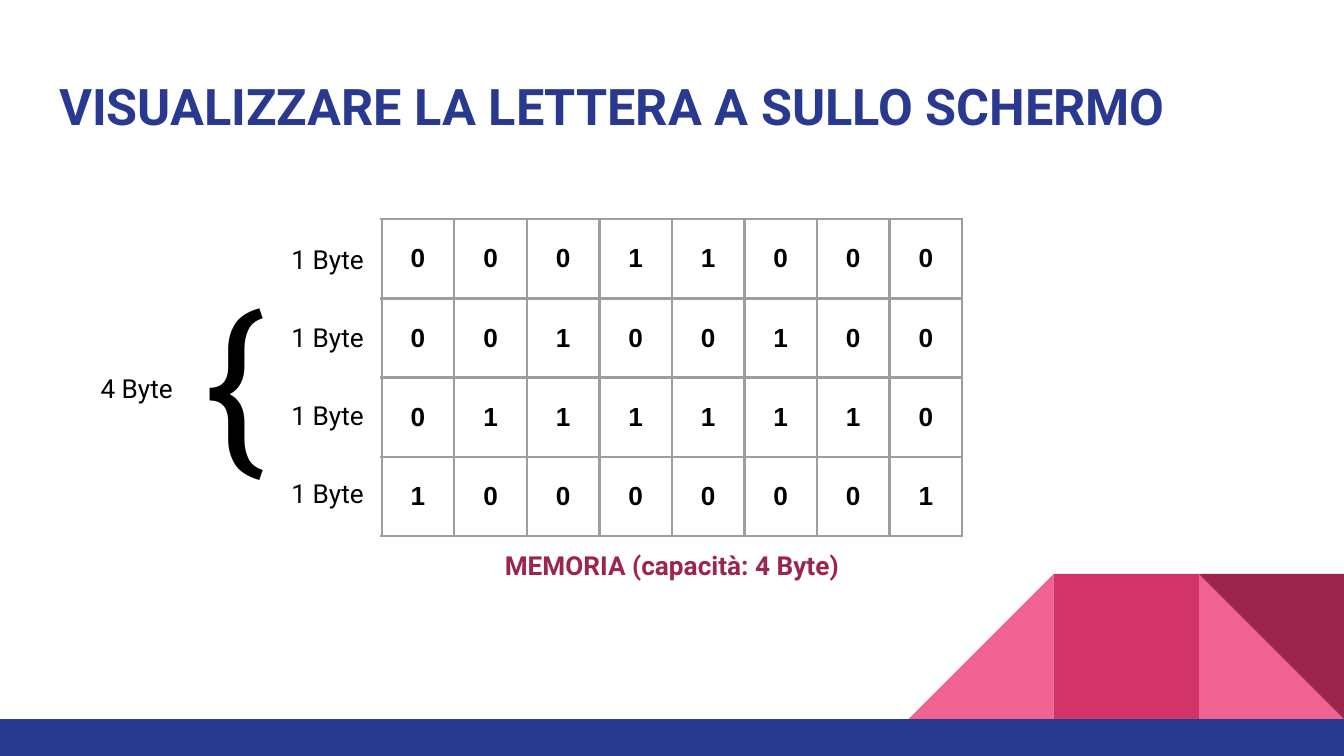
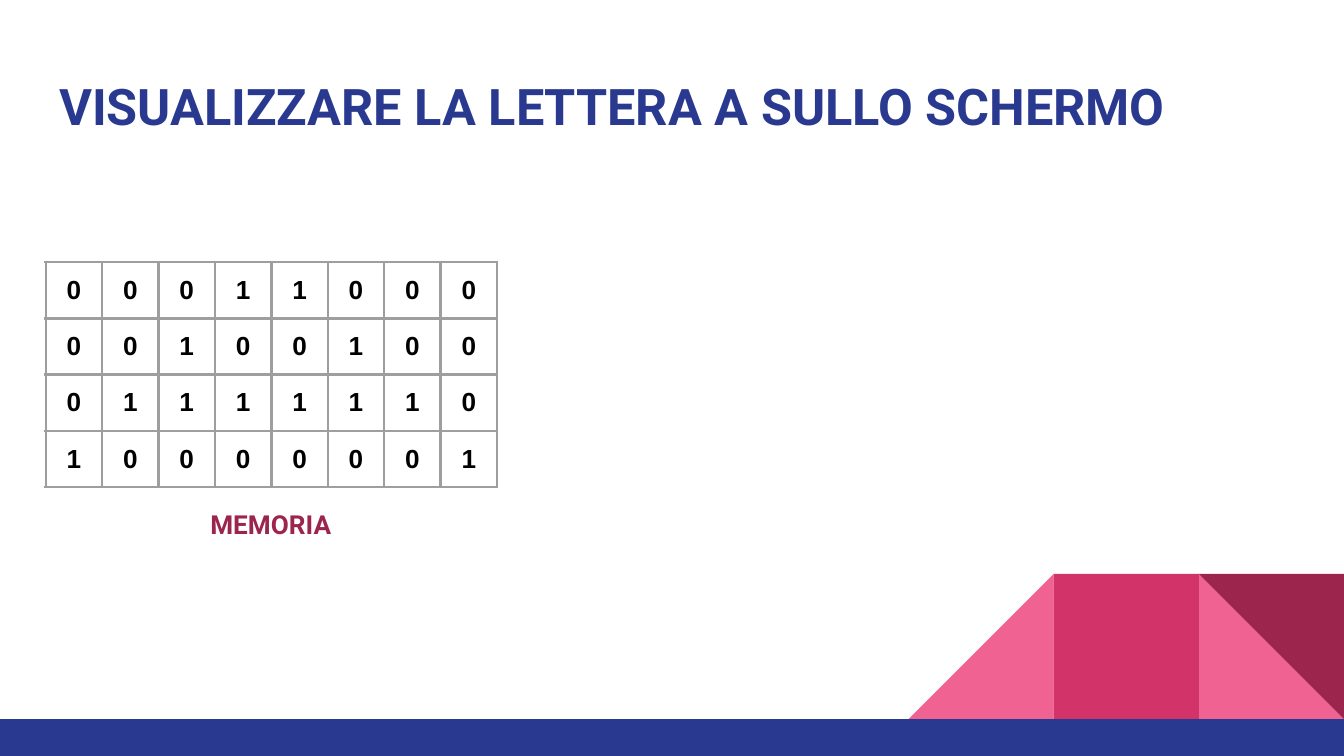
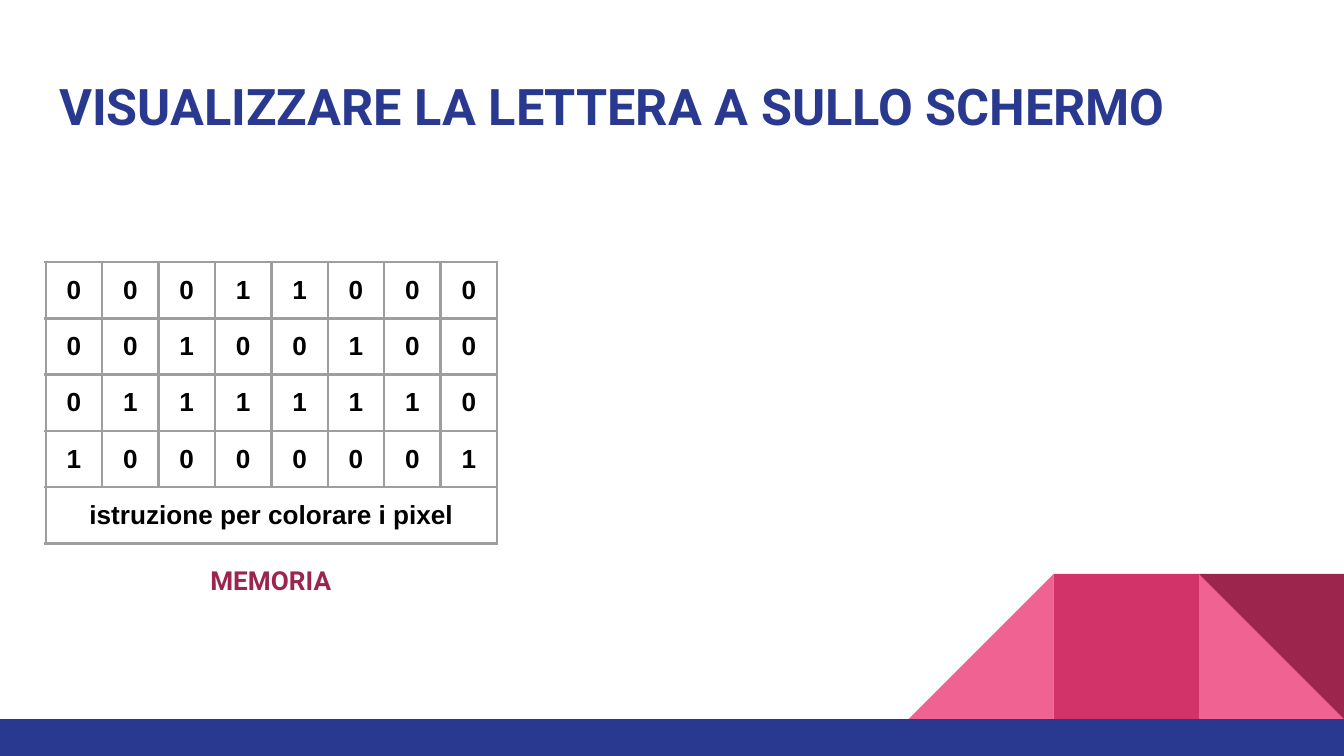
from lxml import etree
from pptx import Presentation
from pptx.dml.color import RGBColor
from pptx.enum import shapes, text
from pptx.oxml.ns import qn
from pptx.util import Inches, Pt

BLUE, ROSE, PINK, WINE = "2A3990", "D23369", "F06292", "9C254D"
BLACK, GREY = "000000", "9E9E9E"
FONT, TABLE_FONT = "Roboto", "Arial"
WIDTH = 10
HEIGHT = WIDTH * 9 / 16
INSET = 0.1
LABEL_HEIGHT = 0.44

TITLE = "VISUALIZZARE LA LETTERA A SULLO SCHERMO"
LETTER_A = ["00011000", "00100100", "01111110", "10000001"]
INSTRUCTION = "istruzione per colorare i pixel"

# Each memory: table corner and cell size, plus its caption and the caption's place.
# Rows lower than their text grow to fit it.
MEMORIES = [
    dict(left=2.84, top=1.63, cell=(0.54, 0.59), footer=None,
         caption="MEMORIA (capacità: 4 Byte)", caption_at=(2.84, 3.99, 4.32)),
    dict(left=0.34, top=1.95, cell=(0.42, 0.32), footer=None,
         caption="MEMORIA", caption_at=(0.34, 3.68, 3.35)),
    dict(left=0.34, top=1.95, cell=(0.42, 0.32), footer=INSTRUCTION,
         caption="MEMORIA", caption_at=(0.34, 4.1, 3.35)),
]

TILE, TILE_TOP, BAND_TOP = 1.08, 4.27, 5.35
TRIANGLE, RECTANGLE = shapes.MSO_SHAPE.RIGHT_TRIANGLE, shapes.MSO_SHAPE.RECTANGLE
# Preset, tiles from the right edge, colour, rotation
TILES = [
    (TRIANGLE, 1, PINK, 0),
    (TRIANGLE, 3, PINK, 270),
    (RECTANGLE, 2, ROSE, 0),
    (TRIANGLE, 1, WINE, 180),
]


def colour(code):
    return RGBColor.from_string(code)


def write(frame, content, size=14, font=FONT, ink=BLACK, bold=False,
          align=text.PP_ALIGN.LEFT):
    paragraph = frame.paragraphs[0]
    paragraph.alignment = align
    run = paragraph.add_run()
    run.text = content
    run.font.size, run.font.name, run.font.bold = Pt(size), font, bold
    run.font.color.rgb = colour(ink)


def pad(holder):
    """Give a text frame or a table cell the shared inner margins."""
    holder.margin_left = holder.margin_right = Inches(INSET)
    holder.margin_top = holder.margin_bottom = Inches(INSET)


def add_label(slide, content, left, top, width, height=LABEL_HEIGHT, **style):
    frame = slide.shapes.add_textbox(*map(Inches, (left, top, width, height))).text_frame
    frame.word_wrap = True
    pad(frame)
    write(frame, content, **style)


def add_block(slide, preset, left, top, width, height, fill, rotation=0):
    block = slide.shapes.add_shape(preset, *map(Inches, (left, top, width, height)))
    block.shadow.inherit = False
    block.fill.solid()
    block.fill.fore_color.rgb = colour(fill)
    block.line.fill.background()
    block.rotation = rotation


def add_decoration(slide):
    for preset, from_right, fill, rotation in TILES:
        add_block(slide, preset, WIDTH - from_right * TILE, TILE_TOP,
                  TILE, TILE, fill, rotation)
    add_block(slide, RECTANGLE, 0, BAND_TOP, WIDTH, HEIGHT - BAND_TOP, BLUE)


def add_title(slide):
    title = slide.shapes.title
    title.left, title.top, title.width, title.height = map(Inches, (0.34, 0.45, 9.32, 0.66))
    frame = title.text_frame
    frame.word_wrap = True
    frame.auto_size = text.MSO_AUTO_SIZE.NONE
    frame.vertical_anchor = text.MSO_ANCHOR.BOTTOM
    pad(frame)
    write(frame, TITLE, size=27, ink=BLUE, bold=True)


def add_borders(cell):
    properties = cell._tc.get_or_add_tcPr()
    for side in ("lnL", "lnR", "lnT", "lnB"):
        line = etree.SubElement(properties, qn(f"a:{side}"), w=str(Pt(1.5)))
        fill = etree.SubElement(line, qn("a:solidFill"))
        etree.SubElement(fill, qn("a:srgbClr"), val=GREY)


def add_memory(slide, left, top, cell, footer, caption, caption_at):
    cell_width, cell_height = cell
    bits = len(LETTER_A[0])
    row_count = len(LETTER_A) + bool(footer)
    table = slide.shapes.add_table(
        row_count, bits, Inches(left), Inches(top),
        Inches(cell_width * bits), Inches(cell_height * row_count)).table
    table.first_row = table.horz_banding = False
    for column in table.columns:
        column.width = Inches(cell_width)
    for row in table.rows:
        row.height = Inches(cell_height)

    cell_style = dict(font=TABLE_FONT, bold=True, align=text.PP_ALIGN.CENTER)
    for slot in table.iter_cells():
        add_borders(slot)
        slot.fill.background()
        slot.vertical_anchor = text.MSO_ANCHOR.MIDDLE
        pad(slot)
    for r, byte in enumerate(LETTER_A):
        for c, bit in enumerate(byte):
            write(table.cell(r, c).text_frame, bit, **cell_style)
    if footer:
        first = table.cell(row_count - 1, 0)
        first.merge(table.cell(row_count - 1, bits - 1))
        write(first.text_frame, footer, **cell_style)

    add_label(slide, caption, *caption_at, ink=WINE, bold=True,
              align=text.PP_ALIGN.CENTER)


def add_byte_labels(slide):
    for i in range(len(LETTER_A)):
        add_label(slide, "1 Byte", 2.07, 1.71 + 0.58 * i, 0.76)
    add_label(slide, "{", 1.42, 1.9, 0.66, 1.82, size=96)
    add_label(slide, "4 Byte", 0.65, 2.67, 0.76)


def main():
    deck = Presentation()
    deck.slide_width, deck.slide_height = Inches(WIDTH), Inches(HEIGHT)
    title_only = deck.slide_layouts[5]
    for number, memory in enumerate(MEMORIES):
        slide = deck.slides.add_slide(title_only)
        add_decoration(slide)
        add_title(slide)
        add_memory(slide, **memory)
        if number == 0:
            add_byte_labels(slide)
    deck.save("out.pptx")


if __name__ == "__main__":
    main()
